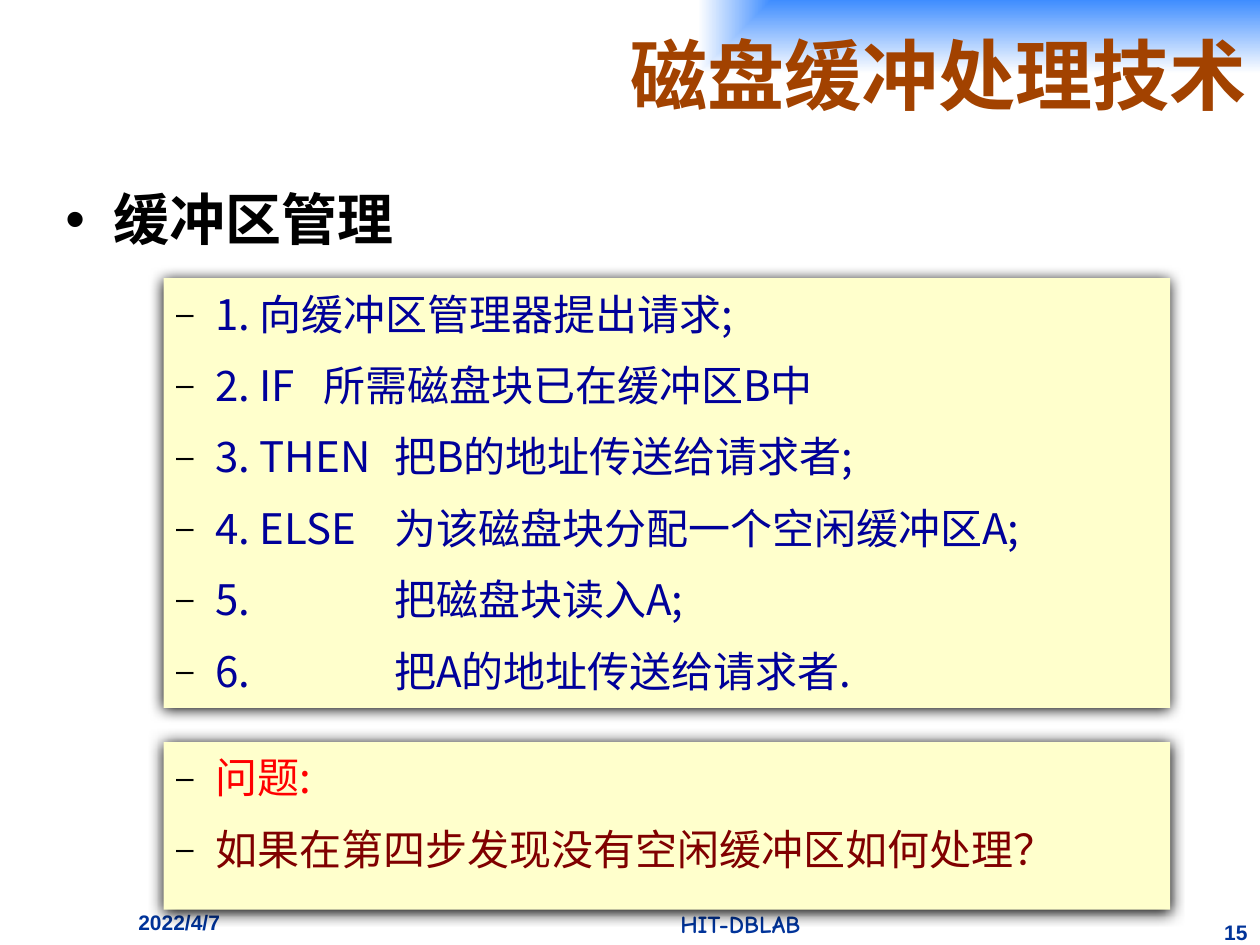
from dataclasses import dataclass
from typing import Optional

from lxml import etree
from pptx import Presentation
from pptx import util as u
from pptx.dml.color import RGBColor
from pptx.enum import shapes, text
from pptx.oxml.ns import qn


@dataclass(frozen=True)
class Theme:
    title: str = "A24200"
    ink: str = "000000"
    code: str = "000099"
    alert: str = "FF0000"
    question: str = "800000"
    footer: str = "003399"
    panel: str = "FFFFCC"
    glow: str = "3F8DFF"
    white: str = "FFFFFF"
    heading_font: str = "Noto Sans CJK SC"
    body_font: str = "Noto Sans CJK JP"
    footer_font: str = "Arial"
    lab_font: str = "Comic Neue"
    title_size: int = 44
    topic_size: int = 32
    step_size: int = 24
    lab_size: int = 14
    footer_size: int = 12


THEME = Theme()


@dataclass(frozen=True)
class Frame:
    left: float
    top: float
    width: float
    height: float

    def lengths(self) -> list:
        return [u.Cm(n) for n in (self.left, self.top, self.width, self.height)]


@dataclass(frozen=True)
class Style:
    font: str
    size: int
    color: str
    bold: bool = False
    align: text.PP_ALIGN = text.PP_ALIGN.LEFT


@dataclass(frozen=True)
class Bullet:
    mark: str
    indent: float
    percent: int = 100


@dataclass(frozen=True)
class Line:
    words: str
    style: Style
    tab: Optional[float] = None


def add_child(parent, tag: str, **attributes):
    return etree.SubElement(parent, qn(tag), {k: str(v) for k, v in attributes.items()})


def add_bullet(para, bullet: Bullet, tab: Optional[float]) -> None:
    properties = para._p.get_or_add_pPr()
    indent = u.Cm(bullet.indent)
    properties.set("marL", str(indent))
    properties.set("indent", str(-indent))
    add_child(add_child(properties, "a:buClr"), "a:srgbClr", val=THEME.ink)
    add_child(properties, "a:buSzPct", val=bullet.percent * 1000)
    add_child(properties, "a:buFont", typeface="Arial")
    add_child(properties, "a:buChar", char=bullet.mark)
    if tab:
        add_child(add_child(properties, "a:tabLst"), "a:tab", pos=u.Cm(tab), algn="l")


def style_paragraph(para, style: Style) -> None:
    para.alignment = style.align
    font = para.font
    font.name, font.size, font.bold = style.font, u.Pt(style.size), style.bold
    font.color.rgb = RGBColor.from_string(style.color)
    latin = para._p.pPr.find(qn("a:defRPr")).find(qn("a:latin"))
    east_asian = etree.Element(qn("a:ea"), {"typeface": style.font})
    latin.addnext(east_asian)


def write_lines(box, lines: list[Line], bullet: Optional[Bullet] = None,
                anchor=text.MSO_ANCHOR.TOP) -> None:
    frame = box.text_frame
    frame.word_wrap = True
    frame.vertical_anchor = anchor
    if bullet:
        frame.margin_top = u.Cm(0.2)
    for index, line in enumerate(lines):
        para = frame.add_paragraph() if index else frame.paragraphs[0]
        para.text = line.words
        if bullet:
            add_bullet(para, bullet, line.tab)
            para.line_spacing = u.Pt(round(line.style.size * 1.2, 1))
            if index:
                para.space_before = u.Pt(12)
        style_paragraph(para, line.style)


def add_rectangle(page, frame: Frame):
    box = page.shapes.add_shape(shapes.MSO_SHAPE.RECTANGLE, *frame.lengths())
    box.shadow.inherit = False
    box.line.fill.background()
    return box


def add_title(page, frame: Frame, line: Line) -> None:
    box = add_rectangle(page, frame)
    box.fill.gradient()
    for stop, color in zip(box.fill.gradient_stops, (THEME.glow, THEME.white)):
        stop.color.rgb = RGBColor.from_string(color)
    # The glow spreads from the top right corner
    gradient = box._element.spPr.find(qn("a:gradFill"))
    gradient.remove(gradient.find(qn("a:lin")))
    glow = add_child(gradient, "a:path", path="rect")
    add_child(glow, "a:fillToRect", l=100000, b=100000)
    write_lines(box, [line], anchor=text.MSO_ANCHOR.MIDDLE)


def add_panel(page, frame: Frame, lines: list[Line], bullet: Bullet) -> None:
    box = add_rectangle(page, frame)
    box.fill.solid()
    box.fill.fore_color.rgb = RGBColor.from_string(THEME.panel)
    effects = box._element.spPr.find(qn("a:effectLst"))
    shadow = add_child(effects, "a:outerShdw", blurRad=u.Pt(8.5), dist=u.Pt(1),
                       dir=5400000, algn="ctr", rotWithShape=0)
    add_child(shadow, "a:srgbClr", val=THEME.ink)
    write_lines(box, lines, bullet)


def add_text(page, frame: Frame, line: Line, bullet: Optional[Bullet] = None) -> None:
    write_lines(page.shapes.add_textbox(*frame.lengths()), [line], bullet)


def main() -> None:
    deck = Presentation()
    deck.slide_width, deck.slide_height = u.Cm(25.4), u.Cm(19.05)
    page = deck.slides.add_slide(deck.slide_layouts[6])

    # Title and topic
    heading = Style(THEME.heading_font, THEME.title_size, THEME.title, True, text.PP_ALIGN.RIGHT)
    add_title(page, Frame(2.74, 0, 22.66, 2.97), Line("磁盘缓冲处理技术", heading))
    topic = Style(THEME.body_font, THEME.topic_size, THEME.ink, True)
    add_text(page, Frame(1.07, 3.53, 22.86, 1.68), Line("缓冲区管理", topic), Bullet("•", 0.97))

    # Footer
    small = Style(THEME.footer_font, THEME.footer_size, THEME.footer, True)
    lab = Style(THEME.lab_font, THEME.lab_size, THEME.footer, True, text.PP_ALIGN.CENTER)
    number = Style(THEME.footer_font, THEME.footer_size, THEME.footer, True, text.PP_ALIGN.RIGHT)
    add_text(page, Frame(2.54, 18.21, 4.45, 0.84), Line("2022/4/7", small))
    add_text(page, Frame(8.89, 18.21, 12.07, 0.84), Line("HIT-DBLAB", lab))
    add_text(page, Frame(24.33, 18.42, 1.07, 0.64), Line("15", number))

    # Algorithm steps and the question about them
    dash = Bullet("–", 0.79, 75)
    code, alert, question = (Style(THEME.body_font, THEME.step_size, color)
                             for color in (THEME.code, THEME.alert, THEME.question))
    action_tab = 4.4
    steps = [
        Line("1. 向缓冲区管理器提出请求;", code),
        Line("2. IF\t所需磁盘块已在缓冲区B中", code, 2.97),
        Line("3. THEN\t把B的地址传送给请求者;", code, action_tab),
        Line("4. ELSE\t为该磁盘块分配一个空闲缓冲区A;", code, action_tab),
        Line("5.\t把磁盘块读入A;", code, action_tab),
        Line("6.\t把A的地址传送给请求者.", code, action_tab),
    ]
    problem = [Line("问题:", alert), Line("如果在第四步发现没有空闲缓冲区如何处理？", question)]
    add_panel(page, Frame(3.3, 5.61, 20.29, 8.66), steps, dash)
    add_panel(page, Frame(3.3, 14.96, 20.29, 3.38), problem, dash)

    deck.save("out.pptx")


if __name__ == "__main__":
    main()
